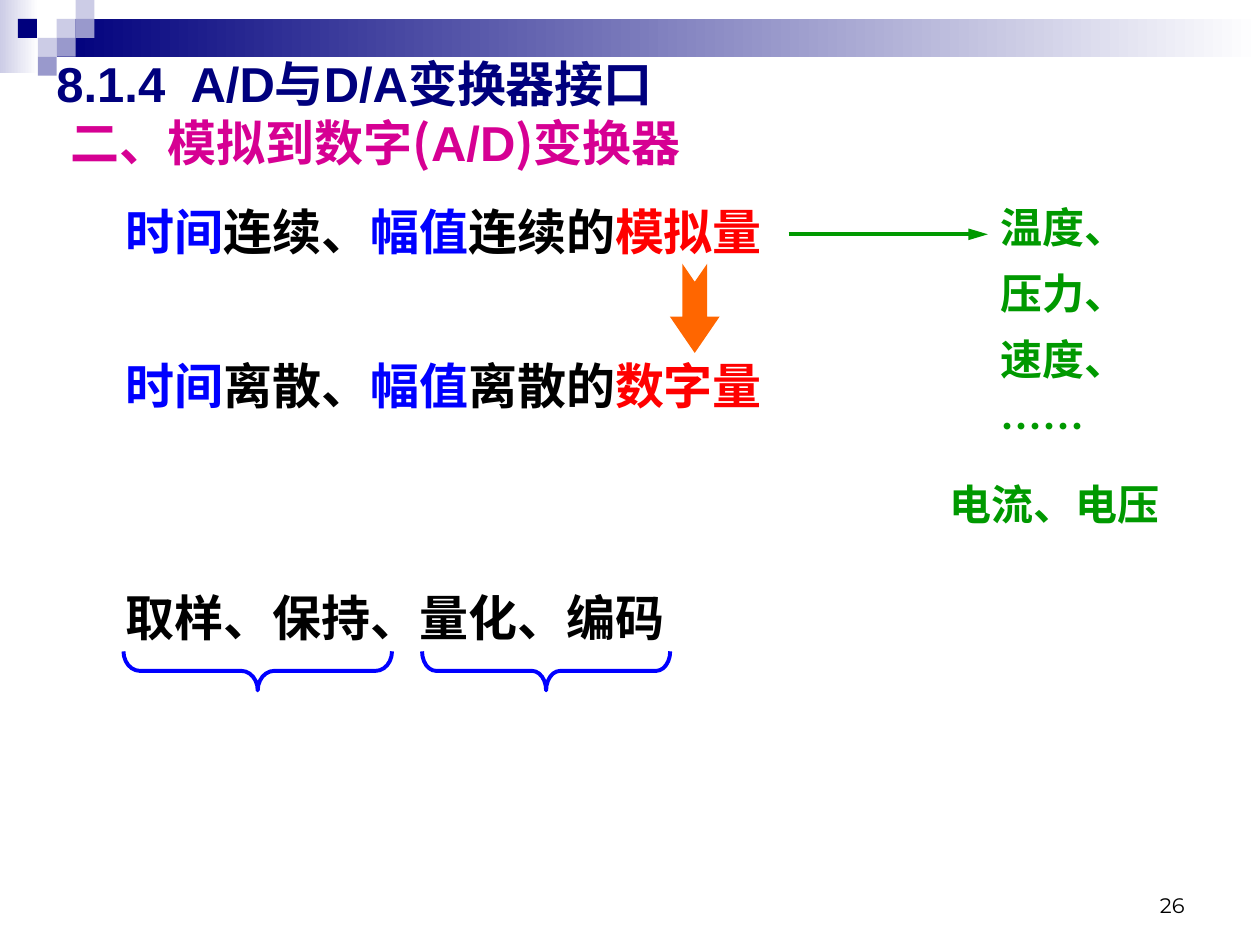
import pptx
import pptx.util
import pptx.dml.color
import pptx.enum.shapes
import pptx.enum.text
import pptx.oxml
import lxml.etree

Pt = pptx.util.Pt
Shape = pptx.enum.shapes.MSO_SHAPE
NAVY, LILAC, VIOLET = "00007D", "CCCCE6", "9999CC"
MAGENTA, BLUE, BLACK, RED, GREEN = "D60093", "0000FF", "000000", "FF0000", "009900"


def color(value):
    return pptx.dml.color.RGBColor.from_string(value)


def add_text(left, top, width, height, paragraphs, size, font, bold=True, before=0):
    box = slide.shapes.add_textbox(Pt(left), Pt(top), Pt(width), Pt(height))
    box.text_frame.word_wrap = True
    for index, parts in enumerate(paragraphs):
        paragraph = box.text_frame.paragraphs[0] if index == 0 else box.text_frame.add_paragraph()
        paragraph.space_before = Pt(before if index else 0)
        paragraph.font.size = Pt(size)
        paragraph.font.name = font
        paragraph.font.bold = bold
        for words, shade in parts:
            run = paragraph.add_run()
            run.text = words
            run.font.color.rgb = color(shade)
    return box.text_frame


deck = pptx.Presentation()
deck.slide_width, deck.slide_height = Pt(720), Pt(540)
slide = deck.slides.add_slide(deck.slide_layouts[6])

for left, top, width, height, start in [(0, 0, 22, 42, LILAC), (32.4, 10.8, 687.6, 21.6, NAVY)]:
    band = slide.shapes.add_shape(Shape.RECTANGLE, Pt(left), Pt(top), Pt(width), Pt(height))
    band.shadow.inherit = False
    band.line.fill.background()
    band.fill.gradient()
    band.fill.gradient_angle = 0
    for stop, shade, position in zip(band.fill.gradient_stops, (start, "FFFFFF"), (0, 1)):
        stop.color.rgb = color(shade)
        stop.position = position

side = 10.8
for column, row, shade in [(3, 1, LILAC), (4, 0, LILAC), (4, 1, VIOLET), (2, 2, LILAC),
                           (0.95, 1, NAVY), (3, 2, VIOLET), (2, 3, VIOLET)]:
    tile = slide.shapes.add_shape(Shape.RECTANGLE, Pt(column * side), Pt(row * side), Pt(side), Pt(side))
    tile.shadow.inherit = False
    tile.line.fill.background()
    tile.fill.solid()
    tile.fill.fore_color.rgb = color(shade)

page_number = add_text(516, 492, 168, 36, [[("26", BLACK)]], 12, "Montserrat", bold=False)
page_number.vertical_anchor = pptx.enum.text.MSO_ANCHOR.BOTTOM
page_number.paragraphs[0].alignment = pptx.enum.text.PP_ALIGN.RIGHT

heading = add_text(25.2, 27, 674.6, 73.4, [
    [("8.1.4  A/D与D/A变换器接口", NAVY)],
    [("二、模拟到数字", MAGENTA), ("(", MAGENTA), ("A/D", MAGENTA), (")", MAGENTA), ("变换器", MAGENTA)],
], 28, "Arial")
subtitle = heading.paragraphs[1]
subtitle.runs[1].font.name = subtitle.runs[3].font.name = "Noto Sans CJK SC"
subtitle._p.get_or_add_pPr().set("marL", str(Pt(7.8)))

signals = add_text(64.8, 111.6, 640.8, 414, [
    [("时间", BLUE), ("连续、", BLACK), ("幅值", BLUE), ("连续的", BLACK), ("模拟量", RED)],
    [("时间", BLUE), ("离散、", BLACK), ("幅值", BLUE), ("离散的", BLACK), ("数字量", RED)],
    [("取样、保持、量化、编码", BLACK)],
], 28, "Arial")
for paragraph, gap in zip(signals.paragraphs[1:], (54.5, 99)):
    paragraph.space_before = Pt(gap)

conversion = slide.shapes.add_shape(Shape.NOTCHED_RIGHT_ARROW, Pt(371.5), Pt(162), Pt(51), Pt(28.4))
conversion.rotation = 90
conversion.adjustments[0], conversion.adjustments[1] = 0.5, 0.73
conversion.shadow.inherit = False
conversion.line.fill.background()
conversion.fill.solid()
conversion.fill.fore_color.rgb = color("FF6600")

quantities = add_text(564.5, 111.6, 90.7, 149.8,
                      [[(words, GREEN)] for words in ("温度、", "压力、", "速度、", "……")],
                      24, "Times New Roman", before=9)
quantities.paragraphs[3].font.name = "Noto Sans CJK SC"
add_text(535.7, 270, 141.8, 36, [[("电流、电压", GREEN)]], 24, "Times New Roman")

pointer = slide.shapes.add_connector(pptx.enum.shapes.MSO_CONNECTOR.STRAIGHT,
                                     Pt(450.7), Pt(133.9), Pt(564.5), Pt(133.9))
pointer.line.color.rgb = color(GREEN)
pointer.line.width = Pt(2.25)
head = lxml.etree.SubElement(pointer.line._get_or_add_ln(), pptx.oxml.ns.qn("a:tailEnd"))
for key, value in (("type", "triangle"), ("w", "med"), ("len", "lg")):
    head.set(key, value)
lxml.etree.SubElement(pointer._element.spPr, pptx.oxml.ns.qn("a:effectLst"))

depth = 22.3
for left, span, curl in [(70.6, 153.4, 0.42), (241.2, 141.8, 0.36)]:
    brace = slide.shapes.add_shape(Shape.LEFT_BRACE, Pt(left + (span - depth) / 2),
                                   Pt(372.2 - (span - depth) / 2), Pt(depth), Pt(span))
    brace.rotation = 270
    brace.adjustments[0] = curl
    brace.shadow.inherit = False
    brace.fill.background()
    brace.line.color.rgb = color(BLUE)
    brace.line.width = Pt(2.25)

deck.save("out.pptx")
